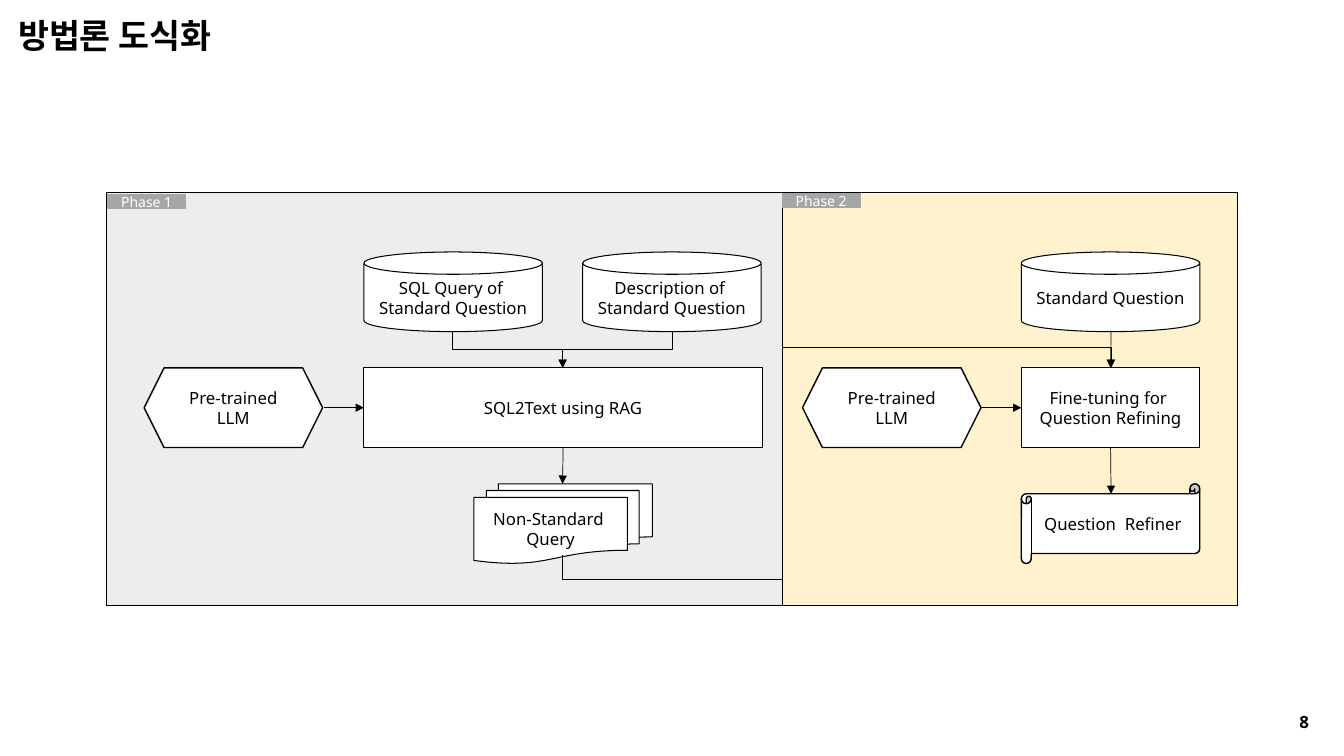
from lxml.etree import SubElement
from pptx import Presentation
from pptx.dml.color import RGBColor
from pptx.enum.shapes import MSO_CONNECTOR as CONNECTOR, MSO_SHAPE as SHAPE
from pptx.enum.text import MSO_ANCHOR as ANCHOR, PP_ALIGN as ALIGN
from pptx.oxml import parse_xml
from pptx.oxml.ns import nsdecls, qn
from pptx.util import Inches, Pt

BLACK = RGBColor(0x00, 0x00, 0x00)
WHITE = RGBColor(0xFF, 0xFF, 0xFF)
TAG_GRAY = RGBColor(0xA6, 0xA6, 0xA6)
PHASE_GRAY = RGBColor(0xED, 0xED, 0xED)
PHASE_YELLOW = RGBColor(0xFF, 0xF2, 0xCC)
FONT = "Noto Sans"

TITLE = "방법론 도식화"
PAGE_NUMBER = "8"
PANEL_LEFT, PANEL_TOP, PANEL_HEIGHT = 1.06, 1.91, 4.1
PHASES = [
    (6.7, PHASE_GRAY, {"L": 1, "R": 0.25, "T": 1, "B": 1}),
    (4.51, PHASE_YELLOW, {"L": 0.25, "R": 1, "T": 1, "B": 1}),
]
TAGS = [("Phase 1", 1.07, 1.93), ("Phase 2", 7.76, 1.92)]
TAG_WIDTH, TAG_HEIGHT = 0.77, 0.14

NODE_WIDTH, NODE_HEIGHT = 1.77, 0.79
DATA_ROW, MODEL_ROW, OUTPUT_ROW = 2.5, 3.65, 4.8
NODES = {
    "sql": ("SQL Query of \vStandard Question", SHAPE.CAN, 3.61, DATA_ROW, NODE_WIDTH, 0.75),
    "description": ("Description of \vStandard Question", SHAPE.CAN, 5.78, DATA_ROW, NODE_WIDTH, 0.75),
    "standard": ("Standard Question", SHAPE.CAN, 10.13, DATA_ROW, NODE_WIDTH, 0.75),
    "llm 1": ("Pre-trained LLM", SHAPE.HEXAGON, 1.43, MODEL_ROW, NODE_WIDTH, 1),
    "rag": ("SQL2Text using RAG", SHAPE.RECTANGLE, 3.61, MODEL_ROW, 3.95, 0.75),
    "llm 2": ("Pre-trained LLM", SHAPE.HEXAGON, 7.96, MODEL_ROW, NODE_WIDTH, 1),
    "tuning": ("Fine-tuning for \vQuestion Refining", SHAPE.RECTANGLE, 10.13, MODEL_ROW, NODE_WIDTH, 0.75),
    "queries": ("Non-Standard \vQuery", SHAPE.FLOWCHART_MULTIDOCUMENT, 4.7, OUTPUT_ROW, NODE_WIDTH, 0.75),
    "refiner": ("Question  Refiner", SHAPE.HORIZONTAL_SCROLL, 10.13, OUTPUT_ROW, NODE_WIDTH, 1),
}
TOP, LEFT, BOTTOM = 0, 1, 2
MODEL_MIDDLE, MODEL_BOTTOM = MODEL_ROW + NODE_HEIGHT / 2, MODEL_ROW + NODE_HEIGHT
RAG_X, TUNING_X = 5.58, 11.02
ARROWS = [
    ((3.21, MODEL_MIDDLE), (3.61, MODEL_MIDDLE), None, ("rag", LEFT)),
    ((9.73, MODEL_MIDDLE), (10.13, MODEL_MIDDLE), None, ("tuning", LEFT)),
    ((TUNING_X, 3.28), (TUNING_X, MODEL_ROW), None, ("tuning", TOP)),
    ((RAG_X, MODEL_BOTTOM), (RAG_X, OUTPUT_ROW), ("rag", BOTTOM), None),
    ((TUNING_X, MODEL_BOTTOM), (TUNING_X, 4.9), ("tuning", BOTTOM), None),
]
ELBOWS = [
    ((4.49, 3.28), (RAG_X, MODEL_ROW), 270, ["flipH"], [0.5]),
    ((6.67, 3.28), (RAG_X, MODEL_ROW), 90, [], [0.5]),
    ((RAG_X, 5.51), (TUNING_X, MODEL_ROW), 90, ["flipH", "flipV"], [-0.13, 0.4, 1.11]),
]


def style_text(frame, size, color, align, bold=False):
    for paragraph in frame.paragraphs:
        paragraph.alignment = align
        for run in paragraph.runs:
            run.font.name = FONT
            run.font.size = Pt(size)
            run.font.bold = bold
            run.font.color.rgb = color


def add_node(slide, text, kind, box, fill, line, line_width, size, color):
    shape = slide.shapes.add_shape(kind, *map(Inches, box))
    shape.shadow.inherit = False
    shape.fill.solid()
    shape.fill.fore_color.rgb = fill
    shape.line.color.rgb = line
    shape.line.width = Pt(line_width)
    if kind == SHAPE.CAN:
        shape.adjustments[0] = 0.28
    frame = shape.text_frame
    frame.text = text
    frame.word_wrap = True
    frame.vertical_anchor = ANCHOR.MIDDLE
    style_text(frame, size, color, ALIGN.CENTER)
    return shape


def add_arrow(slide, kind, start, end):
    connector = slide.shapes.add_connector(kind, *map(Inches, (*start, *end)))
    connector.line.color.rgb = BLACK
    connector.line.width = Pt(0.5)
    properties = connector._element.spPr
    SubElement(properties.find(qn("a:ln")), qn("a:tailEnd"), type="triangle")
    SubElement(properties, qn("a:effectLst"))
    return connector


def add_elbow(slide, start, end, rotation, flips, bends):
    (x1, y1), (x2, y2) = start, end
    center_x, center_y = (x1 + x2) / 2, (y1 + y2) / 2
    width, height = abs(y2 - y1), abs(x2 - x1)
    left, top = center_x - width / 2, center_y - height / 2
    connector = add_arrow(slide, CONNECTOR.ELBOW, (left, top), (left + width, top + height))
    properties = connector._element.spPr
    transform = properties.find(qn("a:xfrm"))
    transform.set("rot", str(rotation * 60000))
    for flip in flips:
        transform.set(flip, "1")
    geometry = properties.find(qn("a:prstGeom"))
    geometry.set("prst", f"bentConnector{len(bends) + 2}")
    guides = geometry.find(qn("a:avLst"))
    for number, bend in enumerate(bends, 1):
        SubElement(guides, qn("a:gd"), name=f"adj{number}", fmla=f"val {round(bend * 100000)}")


def add_phases(slide):
    total_width = sum(width for width, _, _ in PHASES)
    box = (PANEL_LEFT, PANEL_TOP, total_width, PANEL_HEIGHT)
    table = slide.shapes.add_table(1, len(PHASES), *map(Inches, box)).table
    table.first_row = table.horz_banding = False
    for column, (width, fill, borders) in enumerate(PHASES):
        table.columns[column].width = Inches(width)
        cell = table.cell(0, column)
        cell.fill.solid()
        cell.fill.fore_color.rgb = fill
        properties = cell._tc.get_or_add_tcPr()
        for position, (side, points) in enumerate(borders.items()):
            properties.insert(position, parse_xml(
                f'<a:ln{side} {nsdecls("a")} w="{Pt(points)}"><a:solidFill>'
                f'<a:srgbClr val="{BLACK}"/></a:solidFill></a:ln{side}>'))


def main():
    presentation = Presentation()
    presentation.slide_width, presentation.slide_height = Inches(13.33), Inches(7.5)
    slide = presentation.slides.add_slide(presentation.slide_layouts[5])

    title = slide.shapes.title
    title.left, title.top, title.width, title.height = map(Inches, (0.08, 0.1, 2.85, 0.5))
    title.text_frame.text = TITLE
    title.text_frame.vertical_anchor = ANCHOR.TOP
    style_text(title.text_frame, 24, BLACK, ALIGN.LEFT, bold=True)

    add_phases(slide)
    for text, left, top in TAGS:
        box = (left, top, TAG_WIDTH, TAG_HEIGHT)
        add_node(slide, text, SHAPE.RECTANGLE, box, TAG_GRAY, TAG_GRAY, 1, 10, WHITE)
    nodes = {}
    for name, (text, kind, left, top, width, line_width) in NODES.items():
        box = (left, top, width, NODE_HEIGHT)
        nodes[name] = add_node(slide, text, kind, box, WHITE, BLACK, line_width, 12, BLACK)

    for start, end, source, target in ARROWS:
        connector = add_arrow(slide, CONNECTOR.STRAIGHT, start, end)
        if source:
            connector.begin_connect(nodes[source[0]], source[1])
        if target:
            connector.end_connect(nodes[target[0]], target[1])
    for elbow in ELBOWS:
        add_elbow(slide, *elbow)

    number_box = slide.shapes.add_textbox(*map(Inches, (12.79, 7.01, 0.47, 0.3)))
    number_box.text_frame.text = PAGE_NUMBER
    number_box.text_frame.word_wrap = True
    style_text(number_box.text_frame, 12, BLACK, ALIGN.LEFT, bold=True)
    presentation.save("out.pptx")


if __name__ == "__main__":
    main()
